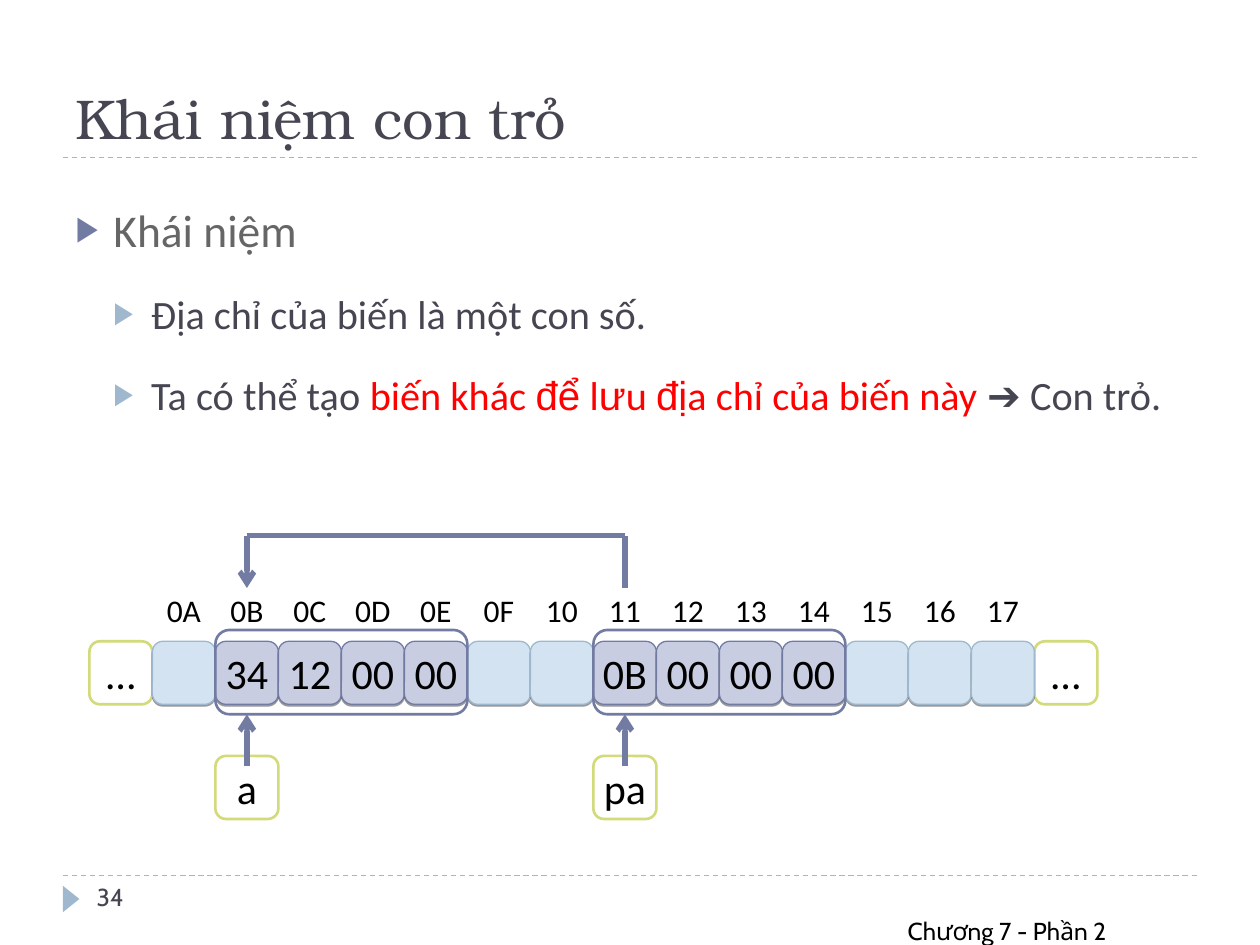
"""Build the slide that explains pointers with a row of memory cells."""
from dataclasses import dataclass
from typing import NamedTuple, Optional

from lxml.etree import SubElement
from pptx import Presentation
from pptx.dml.color import RGBColor
from pptx.enum.dml import MSO_LINE_DASH_STYLE as Dash
from pptx.enum.shapes import MSO_CONNECTOR as Connector, MSO_SHAPE as Shape
from pptx.enum.text import MSO_ANCHOR as Anchor, MSO_AUTO_SIZE as AutoSize, PP_ALIGN as Align
from pptx.oxml.ns import qn
from pptx.util import Pt


@dataclass(frozen=True)
class Theme:
    black: str = "000000"
    white: str = "FFFFFF"
    dark: str = "464653"
    grey: str = "666666"
    red: str = "FF0000"
    accent: str = "727CA3"
    pale: str = "9FB8CD"
    lime: str = "D2DA7A"
    used: str = "C9CDE2"
    free: str = "D3E3F2"
    heading: str = "TeX Gyre Bonum"
    text: str = "Calibri"
    accented: str = "Arial"
    footer: str = "Cabin"
    title_size: int = 32
    topic_size: int = 26
    point_size: int = 23
    cell_size: int = 24
    address_size: int = 18
    footer_size: int = 14


class Box(NamedTuple):
    left: float
    top: float
    width: float
    height: float


class Look(NamedTuple):
    fill: Optional[str] = None
    line: Optional[str] = None
    weight: float = 0.75
    shadow: bool = False


class Span(NamedTuple):
    text: str
    color: str
    font: str = "Calibri"


class Item(NamedTuple):
    level: int
    size: int
    before: float
    bullet: str
    spans: list[Span]


class Variable(NamedTuple):
    name: str
    slot: int
    values: list[str]


THEME = Theme()
STEP = 36
ROW_LEFT, ROW_TOP = 51.1, 366.5
FRAME_TOP, FRAME_HEIGHT = 360, 48.2
ADDRESS_COUNT, FIRST_ADDRESS = 14, 0x0A
LINK_TOP, LINK_BOTTOM = 306, 336
NAME_TOP, POINTER_START = 432, 438

EDGE = Look(THEME.white, THEME.lime, 1.5)
FREE = Look(THEME.free, THEME.pale, shadow=True)
USED = Look(THEME.used, THEME.accent, shadow=True)
FRAME = Look(None, THEME.accent, 1.5)

VARIABLES = [
    Variable("a", 2, ["34", "12", "00", "00"]),
    Variable("pa", 8, ["0B", "00", "00", "00"]),
]
RED_SPANS = [
    Span(text, THEME.red, font) for text, font in [
        ("biến khác ", THEME.text), ("để", THEME.accented), (" l", THEME.text),
        ("ư", THEME.accented), ("u ", THEME.text), ("đị", THEME.accented),
        ("a chỉ của biến này ", THEME.text)]
]
ITEMS = [
    Item(0, THEME.topic_size, 0, THEME.accent, [Span("Khái niệm", THEME.grey)]),
    Item(1, THEME.point_size, 5, THEME.pale,
         [Span("Địa chỉ của biến là một con số.", THEME.dark)]),
    Item(1, THEME.point_size, 5, THEME.pale,
         [Span("Ta có thể tạo ", THEME.dark), *RED_SPANS,
          Span("➔", THEME.dark, THEME.accented), Span(" Con trỏ.", THEME.dark)]),
]


def place(shape, box: Box) -> None:
    """Move and size a shape."""
    shape.left, shape.top, shape.width, shape.height = map(Pt, box)


def add_span(para, text: str, *, size: float, color: str, font: str = THEME.text) -> None:
    """Append one formatted run to a paragraph."""
    span = para.add_run()
    span.text = text
    span.font.size, span.font.name = Pt(size), font
    span.font.color.rgb = RGBColor.from_string(color)


def add_text(page, text: str, box: Box, *, color: str, align: Align = Align.LEFT) -> None:
    """Add a footer text box."""
    frame = page.shapes.add_textbox(*map(Pt, box)).text_frame
    frame.word_wrap = True
    frame.paragraphs[0].alignment = align
    add_span(frame.paragraphs[0], text, size=THEME.footer_size, color=color, font=THEME.footer)


def add_box(page, box: Box, look: Look, text: str = "", size: float = THEME.cell_size,
            kind: Shape = Shape.ROUNDED_RECTANGLE):
    """Add a shape with an optional centred label."""
    shape = page.shapes.add_shape(kind, *map(Pt, box))
    shape.shadow.inherit = False
    if look.fill:
        shape.fill.solid()
        shape.fill.fore_color.rgb = RGBColor.from_string(look.fill)
    else:
        shape.fill.background()
    if look.line:
        shape.line.color.rgb = RGBColor.from_string(look.line)
        shape.line.width = Pt(look.weight)
    else:
        shape.line.fill.background()
    if look.shadow:
        effects = shape.element.spPr.find(qn("a:effectLst"))
        shadow = SubElement(effects, qn("a:outerShdw"), blurRad="0", dist=str(Pt(1)),
                            dir="5400000", rotWithShape="0")
        color = SubElement(shadow, qn("a:srgbClr"), val=THEME.black)
        SubElement(color, qn("a:alpha"), val="40000")
    if text:
        frame = shape.text_frame
        frame.word_wrap, frame.vertical_anchor = False, Anchor.MIDDLE
        frame.paragraphs[0].alignment = Align.CENTER
        add_span(frame.paragraphs[0], text, size=size, color=THEME.black)
    return shape


def add_line(page, start: tuple[float, float], end: tuple[float, float], *,
             color: str = THEME.accent, weight: float = 3, arrow: bool = False,
             dashed: bool = False) -> None:
    """Add a straight line, dashed or with an arrowhead at its end."""
    line = page.shapes.add_connector(Connector.STRAIGHT, *map(Pt, (*start, *end)))
    line.line.color.rgb = RGBColor.from_string(color)
    line.line.width = Pt(weight)
    if dashed:
        line.line.dash_style = Dash.DASH
    if arrow:
        SubElement(line.line._get_or_add_ln(), qn("a:tailEnd"), type="arrow")
    SubElement(line.element.spPr, qn("a:effectLst"))


def fill_title(page, text: str) -> None:
    """Place and fill the title."""
    title = page.shapes.title
    place(title, Box(36, 12, 648, 78))
    frame = title.text_frame
    frame.auto_size, frame.vertical_anchor = AutoSize.NONE, Anchor.BOTTOM
    frame.paragraphs[0].alignment = Align.LEFT
    add_span(frame.paragraphs[0], text, size=THEME.title_size, color=THEME.dark,
             font=THEME.heading)


def fill_body(page, items: list[Item]) -> None:
    """Place the body and fill it with a bulleted list."""
    body = page.placeholders[1]
    place(body, Box(36, 96, 648, 388.8))
    frame = body.text_frame
    frame.auto_size = AutoSize.NONE
    for index, item in enumerate(items):
        para = frame.add_paragraph() if index else frame.paragraphs[0]
        para.level, para.line_spacing, para.space_before = item.level, 1.5, Pt(item.before)
        props = para._p.get_or_add_pPr()
        props.set("marL", str(Pt(21.6 * (item.level + 1))))
        props.set("indent", str(Pt(-21.6)))
        SubElement(SubElement(props, qn("a:buClr")), qn("a:srgbClr"), val=item.bullet)
        SubElement(props, qn("a:buSzPct"), val="76000")
        SubElement(props, qn("a:buFont"), typeface=THEME.accented)
        SubElement(props, qn("a:buChar"), char="▶")
        for span in item.spans:
            add_span(para, span.text, size=item.size, color=span.color, font=span.font)


def slot_box(slot: int, top: float) -> Box:
    """Return the square of a memory slot at the given height."""
    return Box(ROW_LEFT + slot * STEP, top, STEP, STEP)


def slot_middle(slot: int) -> float:
    """Return the horizontal middle of a memory slot."""
    return ROW_LEFT + (slot + 0.5) * STEP


def draw_memory(page) -> None:
    """Draw the addresses, the cells, the variables and the pointer link."""
    values = {var.slot + offset: value
              for var in VARIABLES for offset, value in enumerate(var.values)}
    for slot in (0, ADDRESS_COUNT + 1):
        add_box(page, slot_box(slot, ROW_TOP), EDGE, "…")
    for slot in range(1, ADDRESS_COUNT + 1):
        add_box(page, slot_box(slot, ROW_TOP), USED if slot in values else FREE,
                values.get(slot, ""))
        add_box(page, slot_box(slot, ROW_TOP - STEP), Look(),
                f"{FIRST_ADDRESS + slot - 1:02X}", THEME.address_size)
    for var in VARIABLES:
        middle = slot_middle(var.slot)
        add_box(page, slot_box(var.slot, NAME_TOP), EDGE, var.name)
        add_line(page, (middle, POINTER_START), (middle, FRAME_TOP + FRAME_HEIGHT), arrow=True)
        add_box(page, Box(ROW_LEFT + var.slot * STEP, FRAME_TOP,
                          len(var.values) * STEP, FRAME_HEIGHT), FRAME)
    target, source = (slot_middle(var.slot) for var in VARIABLES)
    add_line(page, (source, LINK_BOTTOM), (source, LINK_TOP))
    add_line(page, (target, LINK_TOP), (target, LINK_BOTTOM), arrow=True)
    add_line(page, (source, LINK_TOP), (target, LINK_TOP))


def main() -> None:
    """Build and save the deck."""
    deck = Presentation()
    deck.slide_width, deck.slide_height = Pt(720), Pt(540)
    page = deck.slides.add_slide(deck.slide_layouts[1])
    for height in (500.4, 90):
        add_line(page, (36, height), (684, height), color=THEME.pale, weight=0.75, dashed=True)
    marker = add_box(page, Box(33.1, 509, 15.1, 9.4), Look(THEME.pale),
                     kind=Shape.ISOSCELES_TRIANGLE)
    marker.rotation = 90
    fill_title(page, "Khái niệm con trỏ")
    fill_body(page, ITEMS)
    draw_memory(page)
    add_text(page, "Chương 7 - Phần 2", Box(411.1, 519.8, 228.2, 18.7), color=THEME.black,
             align=Align.RIGHT)
    add_text(page, "34", Box(48.2, 500.4, 156.2, 28.8), color=THEME.dark)
    deck.save("out.pptx")


if __name__ == "__main__":
    main()
